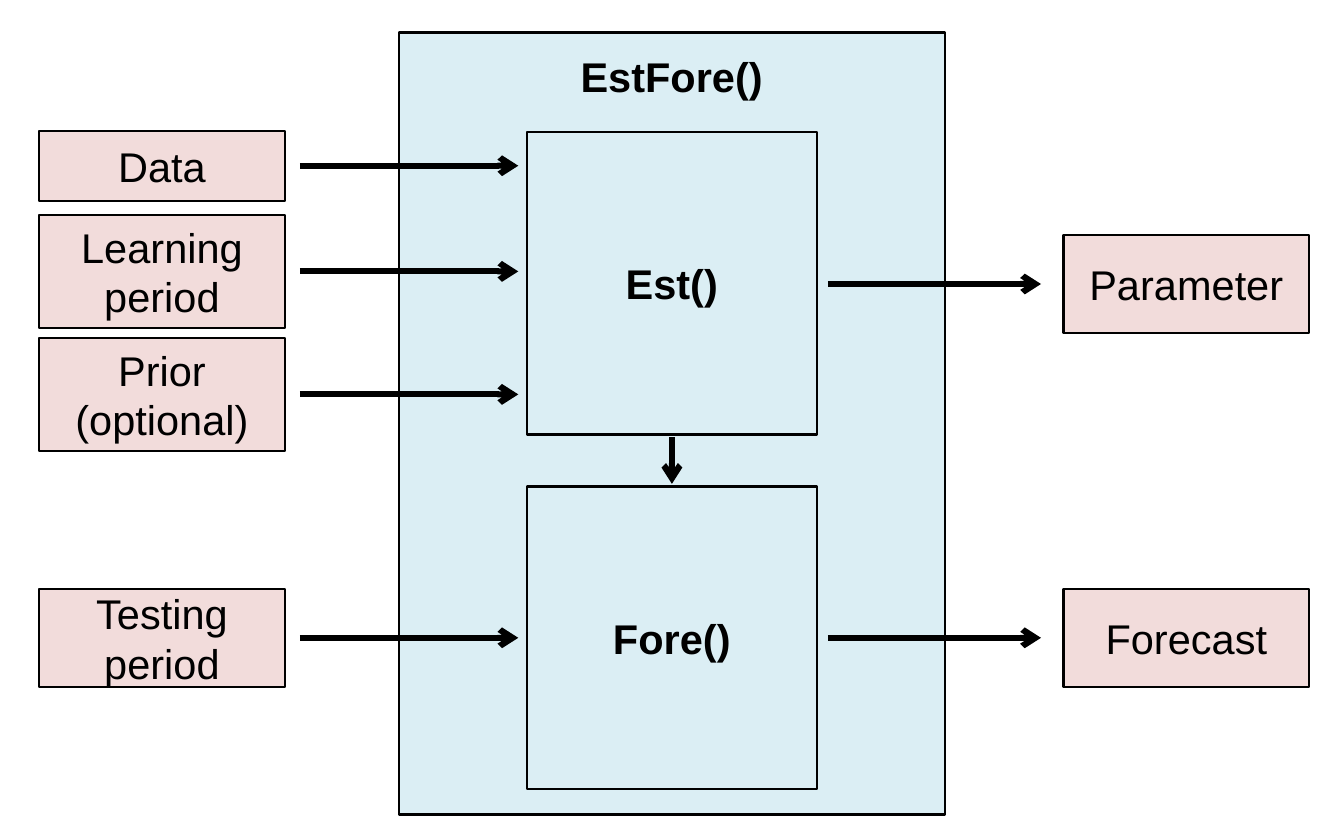
"""Build the EstFore() flow diagram: inputs, estimation, forecasting, outputs."""
from lxml.etree import SubElement
from pptx import Presentation
from pptx.dml.color import RGBColor
from pptx.enum.shapes import MSO_CONNECTOR as Connector, MSO_SHAPE as Shape
from pptx.enum.text import MSO_ANCHOR as Anchor, PP_ALIGN as Align
from pptx.oxml.ns import qn
from pptx.util import Pt

COLORS = {"data": "F2DCDB", "function": "DBEEF4", "ink": "000000"}
FONT, TEXT_SIZE = "Arial", 14
POINTS_PER_CM = 72 / 2.54
SLIDE_WIDTH, SLIDE_HEIGHT = 16 * POINTS_PER_CM, 10 * POINTS_PER_CM

INPUTS = [
    (["Data"], 44.1, 23.7),
    (["Learning period"], 72.5, 38.2),
    (["Prior", "(optional)"], 114, 38.2),
    (["Testing period"], 198.7, 33.1),
]
OUTPUTS = [(["Parameter"], 79.3, 33.1), (["Forecast"], 198.7, 33.1)]
STEPS = [(["Est()"], 44.6, 102.1), (["Fore()"], 164.2, 102.1)]
FRAME = (["EstFore()"], 11, 263.9)

DATA_WIDTH, STEP_WIDTH, FRAME_WIDTH = 83, 97.9, 184.3
INPUT_LEFT, FRAME_LEFT, OUTPUT_LEFT = 13.2, 134.6, 358.9
FRAME_TITLE_INSET = 6.1
CENTER = FRAME_LEFT + FRAME_WIDTH / 2
STEP_LEFT = CENTER - STEP_WIDTH / 2
INPUT_ARROW = (101.2, 174.9)
OUTPUT_ARROW = (279.4, 351.3)
STEP_ARROW_GAP = 0.9


def rgb(name):
    return RGBColor.from_string(COLORS[name])


def add_box(page, item, left, width, fill, bold=False):
    lines, top, height = item
    box = page.shapes.add_shape(Shape.RECTANGLE, Pt(left), Pt(top), Pt(width), Pt(height))
    box.shadow.inherit = False
    box.fill.solid()
    box.fill.fore_color.rgb = rgb(fill)
    box.line.color.rgb = rgb("ink")
    box.line.width = Pt(0.75)
    frame = box.text_frame
    frame.word_wrap = True
    frame.vertical_anchor = Anchor.MIDDLE
    for number, line in enumerate(lines):
        para = frame.add_paragraph() if number else frame.paragraphs[0]
        para.alignment = Align.CENTER
        span = para.add_run()
        span.text = line
        span.font.name = FONT
        span.font.size = Pt(TEXT_SIZE)
        span.font.bold = bold
        span.font.color.rgb = rgb("ink")
    return box


def add_arrow(page, start_x, start_y, end_x, end_y):
    arrow = page.shapes.add_connector(
        Connector.STRAIGHT, Pt(start_x), Pt(start_y), Pt(end_x), Pt(end_y))
    arrow.line.color.rgb = rgb("ink")
    arrow.line.width = Pt(2)
    properties = arrow._element.spPr
    SubElement(properties.find(qn("a:ln")), qn("a:tailEnd"), type="arrow")
    SubElement(properties, qn("a:effectLst"))


deck = Presentation()
deck.slide_width, deck.slide_height = Pt(SLIDE_WIDTH), Pt(SLIDE_HEIGHT)
page = deck.slides.add_slide(deck.slide_layouts[6])

outer = add_box(page, FRAME, FRAME_LEFT, FRAME_WIDTH, "function", bold=True)
outer.text_frame.vertical_anchor = Anchor.TOP
outer.text_frame.margin_top = Pt(FRAME_TITLE_INSET)
for step in STEPS:
    add_box(page, step, STEP_LEFT, STEP_WIDTH, "function", bold=True)

for items, left, (start, end) in [
    (INPUTS, INPUT_LEFT, INPUT_ARROW),
    (OUTPUTS, OUTPUT_LEFT, OUTPUT_ARROW),
]:
    for item in items:
        add_box(page, item, left, DATA_WIDTH, "data")
        middle = item[1] + item[2] / 2
        add_arrow(page, start, middle, end, middle)

(_, est_top, est_height), (_, fore_top, _) = STEPS
add_arrow(page, CENTER, est_top + est_height + STEP_ARROW_GAP,
          CENTER, fore_top - STEP_ARROW_GAP)

deck.save("out.pptx")
